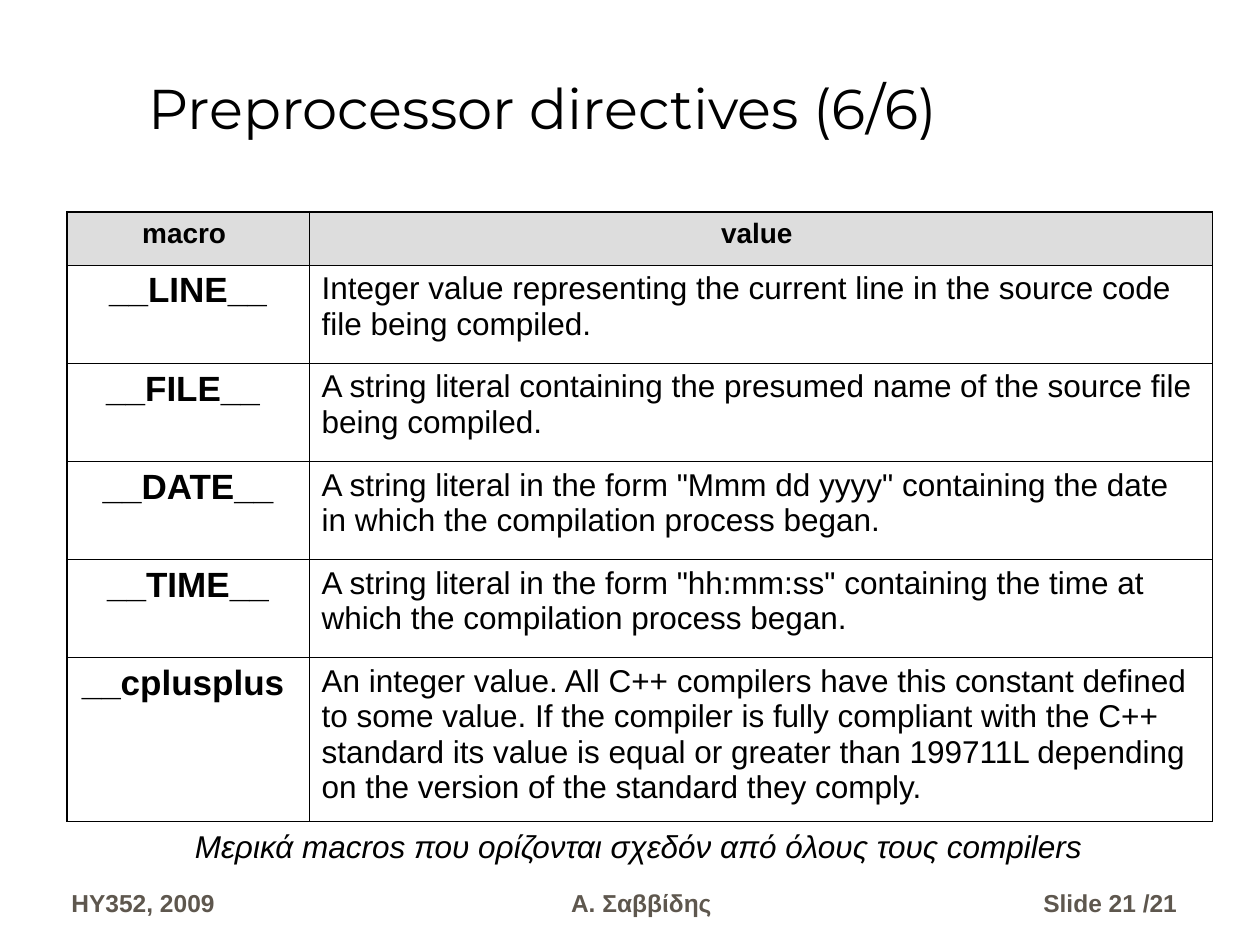
from dataclasses import dataclass

import pptx
import pptx.dml.color
import pptx.enum.text
import pptx.oxml.ns
import pptx.util
from lxml import etree

Cm = pptx.util.Cm
Pt = pptx.util.Pt
Align = pptx.enum.text.PP_ALIGN
Anchor = pptx.enum.text.MSO_ANCHOR

BLACK, WHITE, GREY, FOOTER = "000000", "FFFFFF", "DDDDDD", "5E574E"
THIN, THICK = 0.45, 1.08


@dataclass
class Style:
    size: float
    color: str = BLACK
    bold: bool = False
    italic: bool = False
    font: str = "Arial"
    align: Align = Align.LEFT
    before: float = 0


@dataclass
class Label:
    text: str
    left: float
    top: float
    width: float
    height: float
    style: Style
    anchor: Anchor = Anchor.BOTTOM
    wrap: bool = True


@dataclass
class Macro:
    name: str
    value: str
    height: float = 1.98


TITLE = Style(32, font="Montserrat")
HEADER = Style(16, bold=True, align=Align.CENTER, before=4)
NAME = Style(20, bold=True, align=Align.CENTER, before=5)
VALUE = Style(18, before=4.5)
CAPTION = Style(18, italic=True, align=Align.CENTER)

COLUMN_WIDTHS = [4.88, 18.21]
MACROS = [
    Macro("macro ", "value ", 1.07),
    Macro("__LINE__", "Integer value representing the current line in the "
          "source code file being compiled."),
    Macro("__FILE__ ", "A string literal containing the presumed name of the "
          "source file being compiled."),
    Macro("__DATE__", 'A string literal in the form "Mmm dd yyyy" containing '
          "the date in which the compilation process began."),
    Macro("__TIME__", 'A string literal in the form "hh:mm:ss" containing '
          "the time at which the compilation process began."),
    Macro("__cplusplus ", "An integer value. All C++ compilers have this "
          "constant defined to some value. If the compiler is fully compliant "
          "with the C++ standard its value is equal or greater than 199711L "
          "depending on the version of the standard they comply.", 3.3),
]


def footer(text: str, left: float, width: float, align: Align) -> Label:
    style = Style(14, FOOTER, bold=True, align=align, before=8.8)
    return Label(text, left, 17.35, width, 1.27, style)


LABELS = [
    footer("HY352, 2009", 1.19, 4.14, Align.LEFT),
    footer("Α. Σαββίδης", 5.54, 14.78, Align.CENTER),
    footer("Slide 21 /21", 20.5, 3.48, Align.RIGHT),
    Label("Μερικά macros που ορίζονται σχεδόν από όλους τους compilers",
          3.63, 16.54, 18.49, 1.02, CAPTION, Anchor.TOP, wrap=False),
]


def rgb(color: str) -> pptx.dml.color.RGBColor:
    return pptx.dml.color.RGBColor.from_string(color)


def write(tf, text: str, style: Style) -> None:
    p = tf.paragraphs[0]
    p.alignment = style.align
    p.space_before = Pt(style.before)
    r = p.add_run()
    r.text = text
    r.font.name = style.font
    r.font.size = Pt(style.size)
    r.font.bold = style.bold
    r.font.italic = style.italic
    r.font.color.rgb = rgb(style.color)


def add_title(s, text: str) -> None:
    sp = s.shapes.title
    sp.left, sp.top, sp.width, sp.height = Cm(2.74), Cm(0.43), Cm(22.66), Cm(2.54)
    sp.text_frame.vertical_anchor = Anchor.BOTTOM
    write(sp.text_frame, text, TITLE)


def add_label(s, label: Label) -> None:
    sp = s.shapes.add_textbox(Cm(label.left), Cm(label.top),
                              Cm(label.width), Cm(label.height))
    tf = sp.text_frame
    tf.word_wrap = label.wrap
    tf.vertical_anchor = label.anchor
    write(tf, label.text, label.style)


def add_border(cell, side: str, width: float) -> None:
    """Draw one side of a cell: L, R, T or B."""
    qn = pptx.oxml.ns.qn
    ln = etree.SubElement(cell._tc.get_or_add_tcPr(), qn(f"a:ln{side}"),
                          w=str(int(Pt(width))))
    fill = etree.SubElement(ln, qn("a:solidFill"))
    etree.SubElement(fill, qn("a:srgbClr"), val=BLACK)


def add_macro_table(s) -> None:
    last_row, last_col = len(MACROS) - 1, len(COLUMN_WIDTHS) - 1
    height = sum(m.height for m in MACROS)
    table = s.shapes.add_table(len(MACROS), len(COLUMN_WIDTHS), Cm(1.35), Cm(4.27),
                               Cm(sum(COLUMN_WIDTHS)), Cm(height)).table
    table.first_row = table.horz_banding = False
    for column, width in zip(table.columns, COLUMN_WIDTHS):
        column.width = Cm(width)
    for i, macro in enumerate(MACROS):
        table.rows[i].height = Cm(macro.height)
        styles = (NAME, VALUE) if i else (HEADER, HEADER)
        for j, text in enumerate((macro.name, macro.value)):
            cell = table.cell(i, j)
            outer = {"L": j == 0, "R": j == last_col, "T": i == 0, "B": i == last_row}
            for side, is_outer in outer.items():
                add_border(cell, side, THICK if is_outer else THIN)
            cell.fill.solid()
            cell.fill.fore_color.rgb = rgb(WHITE if i else GREY)
            write(cell.text_frame, text, styles[j])


def main() -> None:
    prs = pptx.Presentation()
    prs.slide_width, prs.slide_height = Cm(25.4), Cm(19.05)
    s = prs.slides.add_slide(prs.slide_layouts[5])
    add_title(s, "Preprocessor directives (6/6)")
    add_macro_table(s)
    for label in LABELS:
        add_label(s, label)
    prs.save("out.pptx")


if __name__ == "__main__":
    main()
